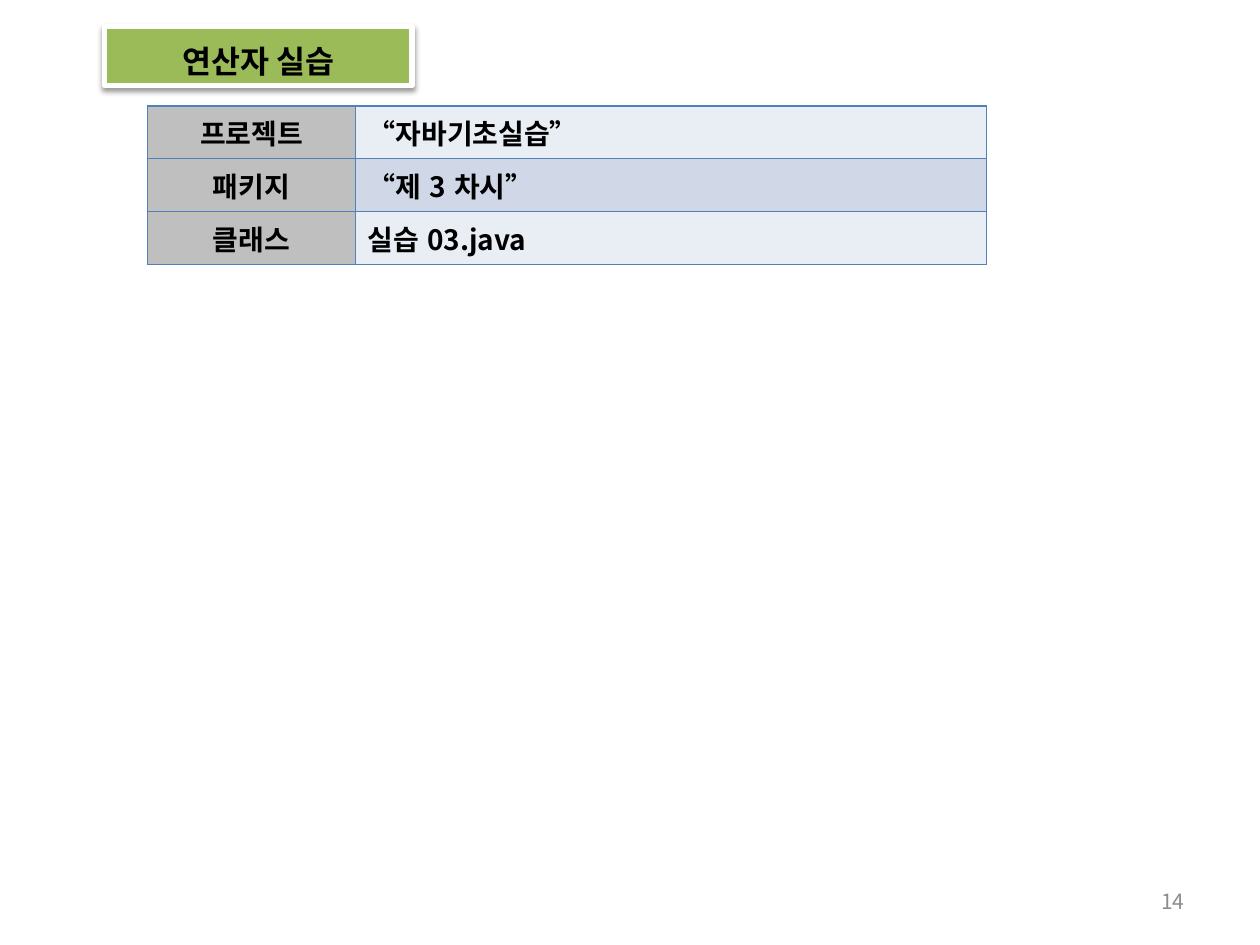
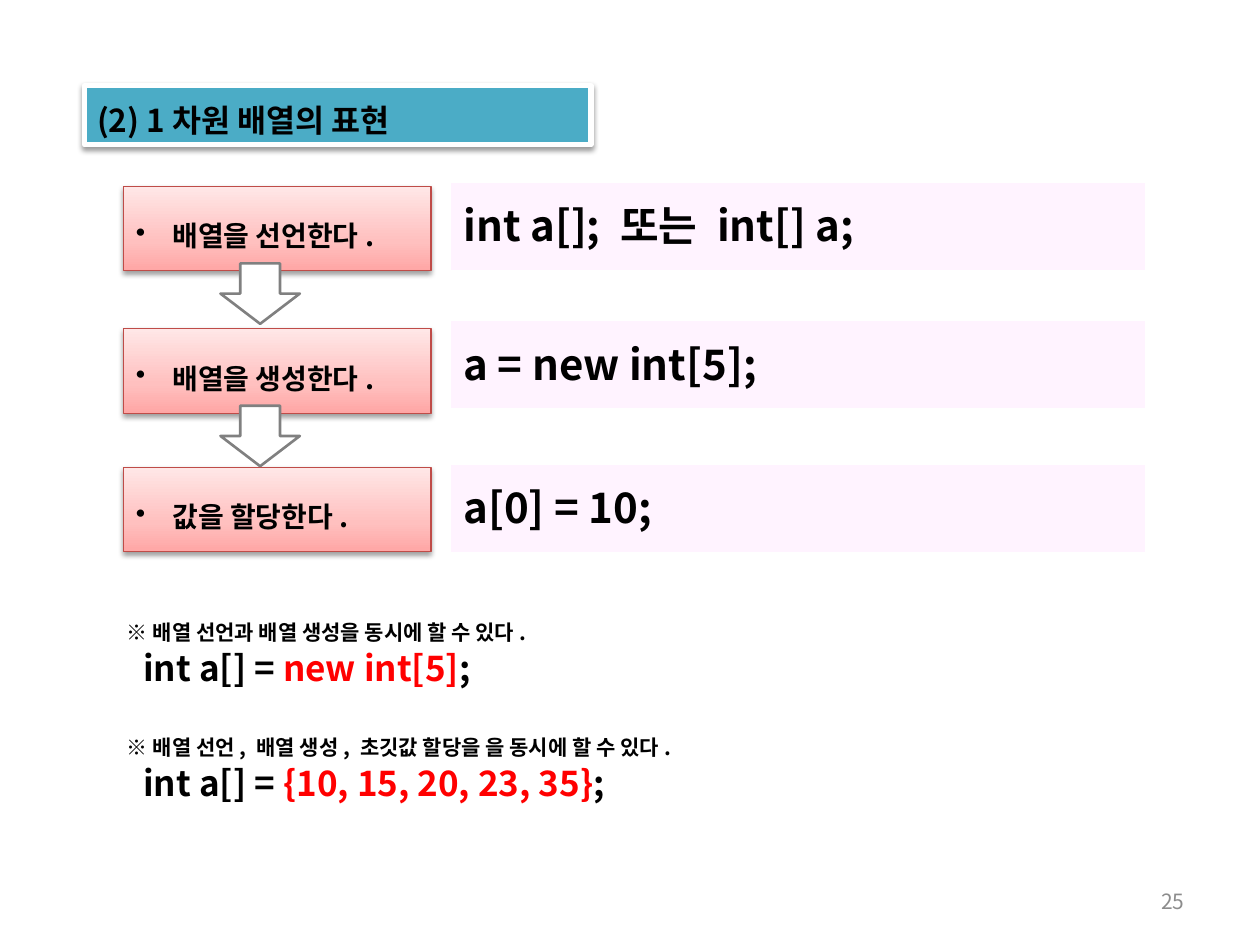
from lxml.etree import SubElement
from copy import deepcopy
from pptx import Presentation
from pptx.dml.color import RGBColor
from pptx.enum.shapes import MSO_SHAPE as Shape
from pptx.enum.text import MSO_ANCHOR as Anchor, MSO_AUTO_SIZE as AutoSize, PP_ALIGN as Align
from pptx.oxml.ns import qn
from pptx.util import Inches, Pt

# Content
PRACTICE = {
    "title": "연산자 실습",
    "number": "14",
    "rows": [("프로젝트", "“자바기초실습”"), ("패키지", "“제3차시”"), ("클래스", "실습03.java")],
}
ARRAYS = {
    "title": "(2) 1차원 배열의 표현",
    "number": "25",
    # step, code, top of the step box, top of the code panel
    "steps": [
        ("배열을 선언한다.", "int a[]; 또는 int[] a;", 1.48, 1.45),
        ("배열을 생성한다.", "a = new int[5];", 2.61, 2.55),
        ("값을 할당한다.", "a[0] = 10;", 3.71, 3.69),
    ],
    # remark, highlighted code, top
    "notes": [
        ("※ 배열 선언과 배열 생성을 동시에 할 수 있다.", "new int[5]", 4.7),
        ("※ 배열 선언, 배열 생성, 초깃값 할당을 을 동시에 할 수 있다.", "{10, 15, 20, 23, 35}", 5.61),
    ],
}

# Shared style
FONT = "Noto Sans CJK KR"
BLACK, WHITE, RED, GREY = "000000", "FFFFFF", "FF0000", "8C8C8C"
GREEN, TEAL, PANEL = "9BBB59", "4BACC6", "FFF3FF"
STEP_LINE, ARROW_LINE, TABLE_LINE = "BF4C48", "808080", "4F81BD"
STEP_GRADIENT = [(0, "FFA6A5"), (0.35, "FFC0BF"), (1, "FFE7E7")]
HEAD_FILL, ROW_FILLS = "BFBFBF", ("E9EDF4", "D0D8E8")
LINE_SPACING = Pt(25)


def rgb(value):
    return RGBColor.from_string(value)


def style_paragraph(paragraph, size, color=BLACK, bold=True, align=Align.LEFT, spacing=None):
    paragraph.alignment = align
    if spacing:
        paragraph.line_spacing = spacing
    font = paragraph.font
    font.name, font.size, font.bold = FONT, Pt(size), bold
    font.color.rgb = rgb(color)
    latin = paragraph._p.pPr.find(qn("a:defRPr")).find(qn("a:latin"))
    east_asian = deepcopy(latin)
    east_asian.tag = qn("a:ea")
    latin.addnext(east_asian)


def indent(paragraph, left, first=0.0):
    properties = paragraph._p.get_or_add_pPr()
    properties.set("marL", str(Inches(left)))
    properties.set("indent", str(Inches(first)))
    return properties


def set_frame(shape):
    frame = shape.text_frame
    frame.word_wrap, frame.auto_size = True, AutoSize.NONE
    frame.vertical_anchor = Anchor.MIDDLE
    frame.margin_left = frame.margin_right = Inches(0.1)
    frame.margin_top, frame.margin_bottom = Inches(0.08), Inches(0.05)
    return frame


def set_line(shape, color, width):
    shape.line.color.rgb = rgb(color)
    shape.line.width = Pt(width)


def add_shadow(shape):
    shape.shadow.inherit = False
    effects = shape._element.spPr.find(qn("a:effectLst"))
    shadow = SubElement(effects, qn("a:outerShdw"), blurRad=str(Pt(3.1)), dist=str(Pt(1.6)),
                        dir="5400000", rotWithShape="0")
    color = SubElement(shadow, qn("a:srgbClr"), val=BLACK)
    SubElement(color, qn("a:alpha"), val="38000")


def fill_gradient(fill, stops):
    fill.gradient()
    fill.gradient_angle = 90
    first = fill.gradient_stops[0]._gs
    first.addnext(deepcopy(first))
    for stop, (position, color) in zip(fill.gradient_stops, stops):
        stop.position = position
        stop.color.rgb = rgb(color)


def add_box(slide, box, fill=None, kind=Shape.FLOWCHART_PROCESS):
    shape = slide.shapes.add_shape(kind, *map(Inches, box))
    shape.shadow.inherit = False
    shape.line.fill.background()
    if fill:
        shape.fill.solid()
        shape.fill.fore_color.rgb = rgb(fill)
    else:
        shape.fill.background()
    return shape


def add_slide(presentation, content, title_box, fill, align):
    slide = presentation.slides.add_slide(presentation.slide_layouts[5])
    # Title band
    title = slide.shapes.title
    title.left, title.top, title.width, title.height = map(Inches, title_box)
    title.fill.solid()
    title.fill.fore_color.rgb = rgb(fill)
    set_line(title, WHITE, 3)
    add_shadow(title)
    frame = set_frame(title)
    frame.text = content["title"]
    style_paragraph(frame.paragraphs[0], 18, align=align, spacing=LINE_SPACING)
    # Slide number
    number = slide.shapes.add_textbox(*map(Inches, (7.17, 6.95, 2.33, 0.4))).text_frame
    number.word_wrap, number.vertical_anchor = True, Anchor.MIDDLE
    number.text = content["number"]
    style_paragraph(number.paragraphs[0], 12, GREY, False, Align.RIGHT)
    return slide


def set_borders(cell, color, width):
    properties = cell._tc.get_or_add_tcPr()
    for index, side in enumerate(("a:lnL", "a:lnR", "a:lnT", "a:lnB")):
        line = SubElement(properties, qn(side), w=str(Pt(width)))
        SubElement(SubElement(line, qn("a:solidFill")), qn("a:srgbClr"), val=color)
        properties.insert(index, line)


def add_practice_table(slide, rows):
    widths, row_height = (1.65, 5.01), 0.42
    box = (1.17, 0.84, sum(widths), row_height * len(rows))
    table = slide.shapes.add_table(len(rows), len(widths), *map(Inches, box)).table
    for column, width in zip(table.columns, widths):
        column.width = Inches(width)
    for row, texts in enumerate(rows):
        fills = (HEAD_FILL, ROW_FILLS[row % 2])
        for column, (text, fill, align) in enumerate(zip(texts, fills, (Align.CENTER, Align.LEFT))):
            cell = table.cell(row, column)
            cell.text = text
            cell.fill.solid()
            cell.fill.fore_color.rgb = rgb(fill)
            style_paragraph(cell.text_frame.paragraphs[0], 16, align=align)
            set_borders(cell, TABLE_LINE, 1)


def add_step(slide, text, top):
    step = add_box(slide, (0.98, top, 2.44, 0.67))
    fill_gradient(step.fill, STEP_GRADIENT)
    set_line(step, STEP_LINE, 0.75)
    add_shadow(step)
    frame = set_frame(step)
    frame.text = text
    paragraph = frame.paragraphs[0]
    SubElement(indent(paragraph, 0.29, -0.29), qn("a:buChar"), char="•")
    style_paragraph(paragraph, 16, spacing=LINE_SPACING)


def add_code_panel(slide, code, top):
    frame = set_frame(add_box(slide, (3.58, top, 5.51, 0.69), PANEL))
    frame.text = code
    style_paragraph(frame.paragraphs[0], 24, spacing=LINE_SPACING)


def add_note(slide, remark, highlight, top):
    frame = set_frame(add_box(slide, (0.91, top, 7.8, 0.81)))
    frame.text = remark
    indent(frame.paragraphs[0], 0.22, -0.22)
    style_paragraph(frame.paragraphs[0], 12, spacing=LINE_SPACING)
    code = frame.add_paragraph()
    indent(code, 0.13)
    style_paragraph(code, 20, spacing=LINE_SPACING)
    for text, color in (("int a[] = ", BLACK), (highlight, RED), (";", BLACK)):
        run = code.add_run()
        run.text = text
        run.font.color.rgb = rgb(color)


def main():
    presentation = Presentation()
    presentation.slide_width, presentation.slide_height = Inches(10), Inches(7.5)

    # Operator practice
    slide = add_slide(presentation, PRACTICE, (0.83, 0.21, 2.44, 0.47), GREEN, Align.CENTER)
    add_practice_table(slide, PRACTICE["rows"])

    # One-dimensional arrays
    slide = add_slide(presentation, ARRAYS, (0.67, 0.68, 4.02, 0.47), TEAL, Align.LEFT)
    for step, code, step_top, code_top in ARRAYS["steps"]:
        add_step(slide, step, step_top)
        add_code_panel(slide, code, code_top)
    for _, _, step_top, _ in ARRAYS["steps"][:-1]:
        arrow = add_box(slide, (1.75, step_top + 0.61, 0.63, 0.48), WHITE, Shape.DOWN_ARROW)
        set_line(arrow, ARROW_LINE, 1.5)
    for note in ARRAYS["notes"]:
        add_note(slide, *note)

    presentation.save("out.pptx")


if __name__ == "__main__":
    main()
